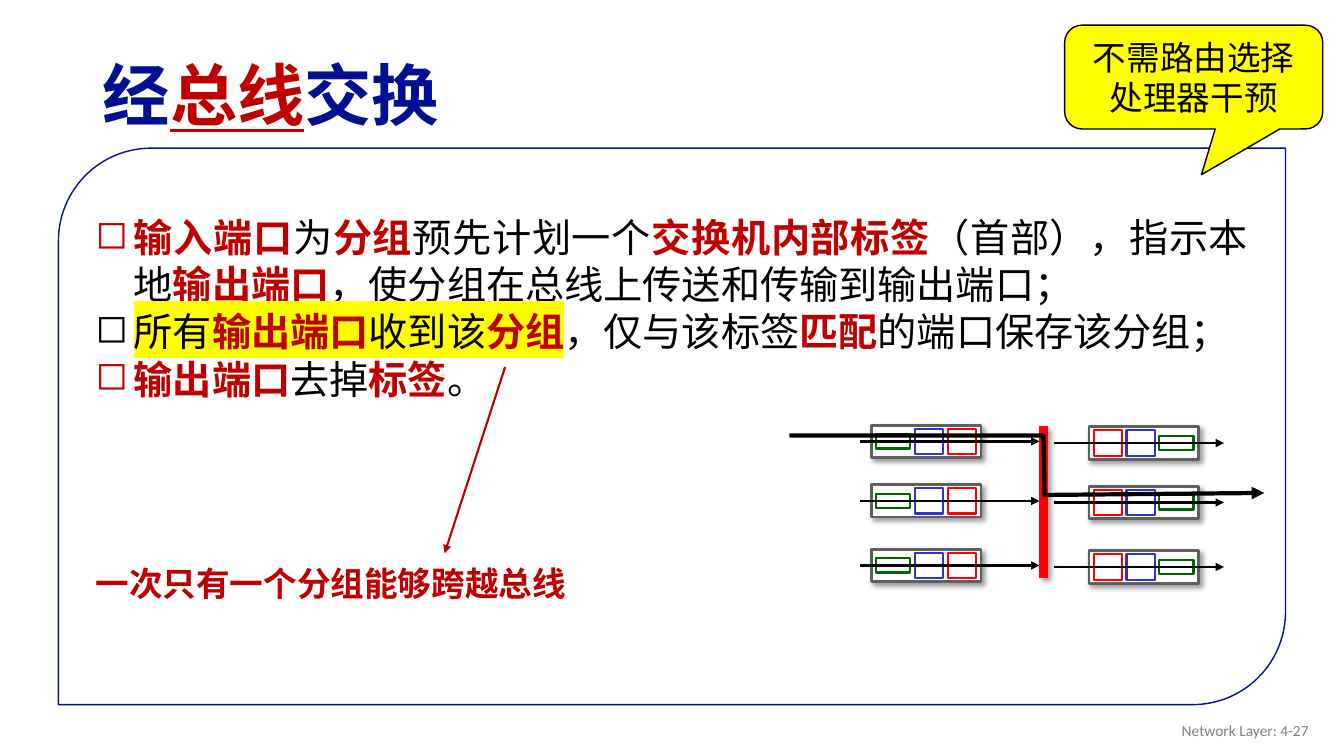
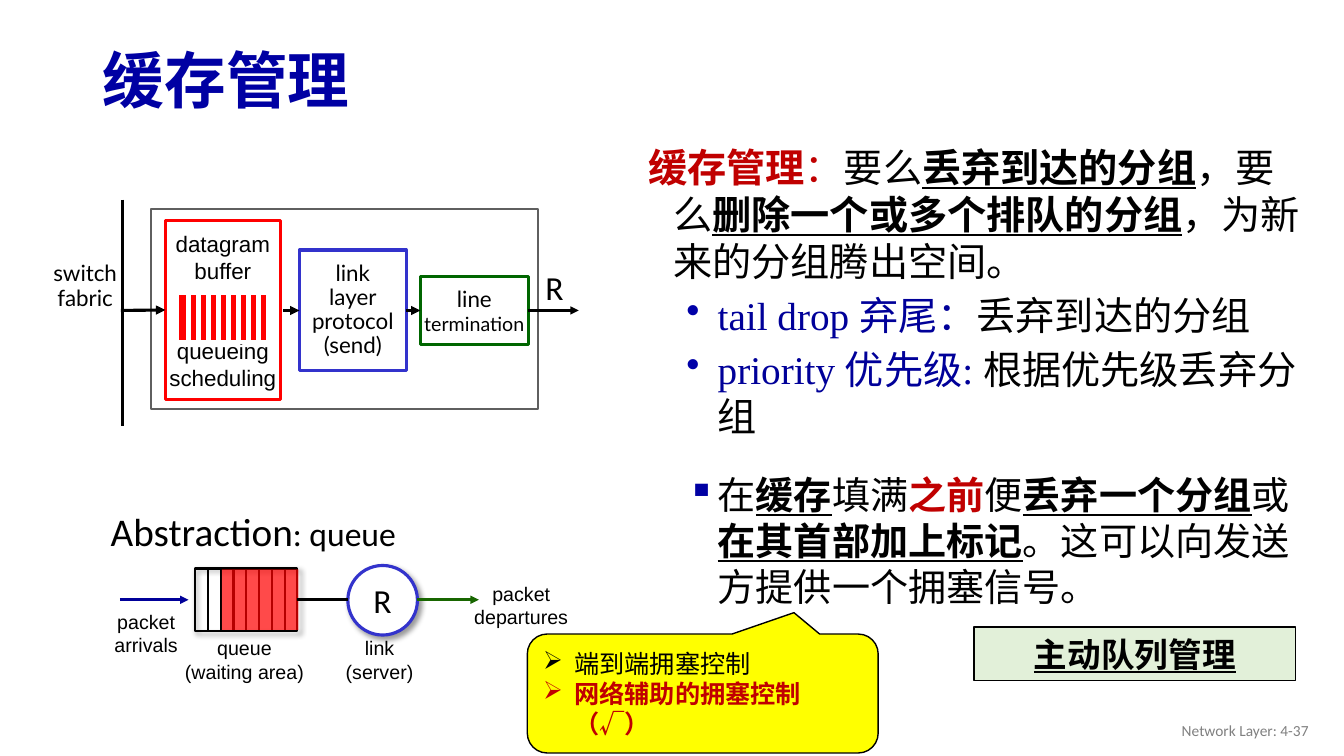
import pptx
import pptx.dml.color
import pptx.enum.lang
import pptx.enum.shapes
import pptx.enum.text
import pptx.oxml.ns
import pptx.util
import lxml.etree

SHAPE = pptx.enum.shapes.MSO_SHAPE
ALIGN = pptx.enum.text.PP_ALIGN
ANCHOR = pptx.enum.text.MSO_ANCHOR
CHINESE = pptx.enum.lang.MSO_LANGUAGE_ID.SIMPLIFIED_CHINESE
color = pptx.dml.color.RGBColor.from_string
name = pptx.oxml.ns.qn
element = lxml.etree.SubElement

BLACK, WHITE, GRAY, RED = "000000", "FFFFFF", "5F5F5F", "FF0000"
GREEN, BLUE, YELLOW = "006600", "3333CC", "FFFF00"
DARK_RED, NAVY, INK = "C00000", "010F90", "000099"

key = dict(color=DARK_RED, bold=True)
strong = dict(bold=True, underline=True)
marked = dict(highlight=YELLOW)
ink = dict(color=INK)
plain = {}

presentation = pptx.Presentation()
presentation.slide_width = pptx.util.Inches(13.33)
presentation.slide_height = pptx.util.Inches(7.5)
column = presentation.slide_width / 133.3
row = presentation.slide_height / 75


def draw(slide, kind, box, fill=None, line=None, width=1, arrow=False, shadow=False, alpha=None):
    if kind == "path":
        points = [(x * column, y * row) for x, y in box]
        builder = slide.shapes.build_freeform(*points[0], scale=1.0)
        builder.add_line_segments(points[1:], close=False)
        shape = builder.convert_to_shape()
    else:
        lengths = [int(value * unit) for value, unit in zip(box, (column, row) * 2)]
        if kind == "line":
            shape = slide.shapes.add_connector(pptx.enum.shapes.MSO_CONNECTOR.STRAIGHT, *lengths)
        elif kind == "text":
            shape = slide.shapes.add_textbox(*lengths)
        else:
            shape = slide.shapes.add_shape(kind, *lengths)
    properties = shape.element.spPr
    if fill:
        shape.fill.solid()
        shape.fill.fore_color.rgb = color(fill)
        if alpha:
            element(properties.find(".//" + name("a:srgbClr")), name("a:alpha"), val=str(alpha * 1000))
    elif kind != "line":
        shape.fill.background()
    if line:
        shape.line.color.rgb = color(line)
        shape.line.width = pptx.util.Pt(width)
    else:
        shape.line.fill.background()
    if arrow:
        element(properties.find(name("a:ln")), name("a:tailEnd"), type="triangle")
    effects = element(properties, name("a:effectLst"))
    if shadow:
        outer = element(effects, name("a:outerShdw"), blurRad="50800", dist="38100", dir="2700000")
        tint = element(outer, name("a:srgbClr"), val=BLACK)
        element(tint, name("a:alpha"), val="40000")
    return shape


def write(shape, text, size=14, font="Arial", align=ALIGN.CENTER, anchor=ANCHOR.MIDDLE, wrap=True,
          spacing=None, before=0, margin_top=0.5, bullet=None, bullet_color=BLACK, indent=None, **base):
    frame = shape.text_frame
    frame.auto_size = pptx.enum.text.MSO_AUTO_SIZE.NONE
    frame.word_wrap = wrap
    frame.vertical_anchor = anchor
    frame.margin_top = int(margin_top * row)
    lines = [[(line, plain)] for line in text.split("\n")] if isinstance(text, str) else [text]
    for number, runs in enumerate(lines):
        paragraph = frame.paragraphs[0] if not frame.text else frame.add_paragraph()
        paragraph.alignment = align
        if spacing:
            paragraph.line_spacing = spacing
        paragraph.space_before = pptx.util.Pt(before if number == 0 else 0)
        details = paragraph._p.get_or_add_pPr()
        if indent:
            details.set("marL", str(int(indent[0] * column)))
            details.set("indent", str(int(indent[1] * column)))
        if bullet:
            element(element(details, name("a:buClr")), name("a:srgbClr"), val=bullet_color)
            element(details, name("a:buChar"), char=bullet)
        for words, style in runs:
            look = {"color": BLACK, "bold": False, "underline": False, **base, **style}
            run = paragraph.add_run()
            run.text = words
            run.font.size = pptx.util.Pt(size)
            run.font.language_id = CHINESE
            run.font.bold = look["bold"]
            run.font.underline = look["underline"]
            run.font.color.rgb = color(look["color"])
            if "highlight" in look:
                highlight = lxml.etree.Element(name("a:highlight"))
                element(highlight, name("a:srgbClr"), val=look["highlight"])
                run.font._element.find(name("a:solidFill")).addnext(highlight)
            run.font.name = font


slides = []
for title, top, title_format, page in (
    ([("经", plain), ("总线", dict(color=DARK_RED, underline=True)), ("交换", plain)],
     4.9, dict(size=48, font="Arial", color=NAVY), 27),
    ("缓存管理", 3.4, dict(size=44, font="Calibri", color="0000A3"), 37),
):
    slide = presentation.slides.add_slide(presentation.slide_layouts[5])
    heading = slide.shapes.title
    heading.left, heading.top = int(9.2 * column), int(top * row)
    heading.width, heading.height = int(115 * column), int(9.8 * row)
    write(heading, title, align=ALIGN.LEFT, spacing=0.9, bold=True, **title_format)
    footer = draw(slide, "text", (100.8, 70.5, 30, 4))
    write(footer, f"Network Layer: 4-{page}", size=11, font="Calibri", align=ALIGN.RIGHT, color="808080")
    slides.append(slide)
bus_slide, buffer_slide = slides

panel = draw(bus_slide, SHAPE.ROUND_2_DIAG_RECTANGLE, (5.8, 14.7, 121.7, 55.2), WHITE, NAVY)
panel_format = dict(font="Times New Roman", align=ALIGN.JUSTIFY, anchor=ANCHOR.TOP, margin_top=3.8)
for bullet_color, runs in (
    (DARK_RED, [("输入端口", key), ("为", plain), ("分组", key), ("预先计划一个", plain),
                ("交换机内部标签", key), ("（首部），指示本地", plain), ("输出端口", key),
                ("，使分组在总线上传送和传输到输出端口；", plain)]),
    (BLACK, [("所有", marked), ("输出端口", {**key, **marked}), ("收到该", marked),
             ("分组", {**key, **marked}), ("，仅与该标签", plain), ("匹配", key),
             ("的端口保存该分组；", plain)]),
    (DARK_RED, [("输出端口", key), ("去掉", plain), ("标签", key), ("。", plain)]),
):
    write(panel, runs, size=28, bullet="◻", bullet_color=bullet_color, indent=(3.8, -3.8), **panel_format)
write(panel, "一次只有一个分组能够跨越总线", size=24, before=115, **key, **panel_format)

line_cell, link_cell, queue_cell = (GREEN, 3.4, 1.4), (BLUE, 2.8, 2.5), (RED, 2.8, 2.5)
for left, shift, cells, start, end in (
    (86.4, 0, (line_cell, link_cell, queue_cell), 85.3, 103.1),
    (108, 0.15, (queue_cell, link_cell, line_cell), 104.5, 121.4),
):
    for port_top in (42.2, 48.1, 54.5):
        top = port_top + shift
        draw(bus_slide, SHAPE.RECTANGLE, (left, top, 10.9, 3.2), WHITE, GRAY, 2, shadow=True)
        cell_left = left + 0.48
        for cell_color, width, height in cells:
            draw(bus_slide, SHAPE.RECTANGLE, (cell_left, top + 1.6 - height / 2, width, height),
                 WHITE, cell_color, 1.5)
            cell_left += width + 0.45
        draw(bus_slide, "line", (start, top + 1.6, end, top + 1.6), line=BLACK, width=1.5, arrow=True)
draw(bus_slide, "line", (103.5, 42.3, 103.5, 57.3), line=RED, width=6, shadow=True)
draw(bus_slide, "path", ((78.3, 43.2), (103.5, 43.2), (103.6, 49.1), (125.4, 48.9)),
     line=BLACK, width=3, arrow=True)
bus_note = draw(bus_slide, SHAPE.ROUNDED_RECTANGULAR_CALLOUT, (105.6, 2.5, 25.6, 10.3), YELLOW, BLACK)
bus_note.adjustments[0], bus_note.adjustments[1] = 0.03, 0.94
write(bus_note, "不需路由选择处理器干预", size=24)
draw(bus_slide, "line", (50.1, 36.4, 44.1, 54.9), line=DARK_RED, width=1.5, arrow=True)

policies = draw(buffer_slide, "text", (63.2, 13.7, 66.8, 32))
policy_format = dict(size=28, font="Times New Roman", align=ALIGN.LEFT, anchor=ANCHOR.TOP)
write(policies, [("缓存管理", key), ("：", dict(color=DARK_RED)), ("要么", plain), ("丢弃到达的分组", strong),
                 ("，要么", plain), ("删除一个或多个排队的分组", strong), ("，为新来的分组腾出空间。", plain)],
      indent=(2.6, -2.5), **policy_format)
for label, meaning in (("tail drop 弃尾：", "丢弃到达的分组"), ("priority 优先级: ", "根据优先级丢弃分组")):
    write(policies, [(label, ink), (meaning, plain)], before=5, bullet="•", bullet_color="0000A8",
          indent=(7, -3.1), **policy_format)
marking = draw(buffer_slide, "text", (65.7, 46.3, 64.3, 15))
write(marking, [("在", plain), ("缓存", strong), ("填满", plain), ("之前", key), ("便", plain),
                ("丢弃一个分组", strong), ("或", plain), ("在其首部加上标记", strong),
                ("。这可以向发送方提供一个拥塞信号。", plain)],
      size=27.2, align=ALIGN.LEFT, anchor=ANCHOR.TOP, bullet="▪", bullet_color="0000A3", indent=(4.5, -3))

draw(buffer_slide, SHAPE.RECTANGLE, (15, 20.7, 38.4, 19.9), WHITE, GRAY, 1.5)
termination = draw(buffer_slide, SHAPE.RECTANGLE, (41.7, 27.4, 10.7, 6.8), WHITE, GREEN, 2.25)
write(termination, "line", size=16, font="Lato", wrap=False)
write(termination, "termination", size=14, font="Lato", wrap=False)
protocol = draw(buffer_slide, SHAPE.RECTANGLE, (29.7, 24.8, 10.6, 12), WHITE, BLUE, 2.25)
write(protocol, "link\nlayer\nprotocol\n(send)", size=16, font="Lato", wrap=False, spacing=0.9)
fabric = draw(buffer_slide, "text", (3.6, 24.2, 9.7, 8.5))
write(fabric, "switch\nfabric", size=16, font="Lato", wrap=False, spacing=0.9)
datagrams = draw(buffer_slide, SHAPE.RECTANGLE, (16.4, 21.9, 11.4, 17.7), WHITE, RED, 2.25)
for label, before in (("datagram\nbuffer", 0), ("queueing\nscheduling", 38)):
    write(datagrams, label, size=16, anchor=ANCHOR.TOP, wrap=False, margin_top=0.9, before=before)
draw(buffer_slide, SHAPE.RECTANGLE, (17.5, 29.1, 9.1, 4.8), RED, WHITE, 3)
for index in range(8):
    x = 18.7 + 0.99 * index
    draw(buffer_slide, "line", (x, 29.2, x, 33.8), line=WHITE, width=3)
draw(buffer_slide, "line", (12.15, 19.8, 12.15, 42.3), line=BLACK, width=2.25)
for source, target, start, end, width in (
    (None, datagrams, 12, 16.4, 2.25),
    (None, protocol, 28.1, 29.7, 2.25),
    (protocol, termination, 40.3, 41.7, 2.25),
    (termination, None, 52.4, 57.4, 2),
):
    flow = draw(buffer_slide, "line", (start, 30.8, end, 30.8), line=BLACK, width=width, arrow=True)
    if source:
        flow.begin_connect(source, 3)
    if target:
        flow.end_connect(target, 1)

queue = draw(buffer_slide, SHAPE.RECTANGLE, (19.3, 56.4, 10.2, 6.2), line=BLACK, width=1.5, shadow=True)
for index in range(7):
    x = 20.6 + 1.28 * index
    draw(buffer_slide, "line", (x, 56.4, x, 62.5), line=BLACK, width=1.5)
draw(buffer_slide, SHAPE.RECTANGLE, (22, 56.5, 7.6, 6), RED, alpha=71)
server = draw(buffer_slide, SHAPE.OVAL, (34.5, 56.1, 6.9, 6.9), WHITE, BLUE, 2.25, shadow=True)
write(server, "R", size=24, font="Calibri", wrap=False)
for start, end, line_color, arrow in ((11.9, 18.7, INK, True), (41.4, 47.5, "186600", True),
                                      (29.5, 34.5, BLACK, False)):
    link = draw(buffer_slide, "line", (start, 59.5, end, 59.5), line=line_color, width=2, arrow=arrow)
link.begin_connect(queue, 3)
for label, box in (
    ("queue\n(waiting area)", (17.3, 62.6, 13.9, 5.7)),
    ("packet\narrivals", (10.3, 60, 8.4, 5.7)),
    ("packet\ndepartures", (46, 57.2, 11.4, 5.7)),
    ("link\n(server)", (33, 62.6, 9.3, 5.7)),
):
    write(draw(buffer_slide, "text", box), label, anchor=ANCHOR.TOP, wrap=False)
rate = draw(buffer_slide, "text", (53.1, 26, 3.8, 5))
write(rate, "R", size=24, font="Calibri", anchor=ANCHOR.TOP, wrap=False)
abstraction = draw(buffer_slide, "text", (10, 49.8, 30.7, 5.7))
write(abstraction, [("Abstraction", plain), (": queue", plain)], size=28, font="Calibri",
      align=ALIGN.LEFT, anchor=ANCHOR.TOP, wrap=False)
abstraction.text_frame.paragraphs[0].runs[1].font.size = pptx.util.Pt(24)

congestion = draw(buffer_slide, SHAPE.ROUNDED_RECTANGULAR_CALLOUT, (52.3, 62.9, 34.8, 11.8), YELLOW, BLACK)
congestion.adjustments[0], congestion.adjustments[1] = 0.26, -0.68
for label, style, bullet_color in (("端到端拥塞控制", plain, BLACK), ("网络辅助的拥塞控制（√）", key, DARK_RED)):
    write(congestion, label, size=18, font="Calibri", align=ALIGN.LEFT, bullet="➢",
          bullet_color=bullet_color, indent=(3.1, -3.1), **style)
management = draw(buffer_slide, SHAPE.RECTANGLE, (96.6, 62.2, 31.9, 5.3), "E2F0D9", BLACK)
write(management, "主动队列管理", size=24, font="Calibri", **strong)

presentation.save("out.pptx")
